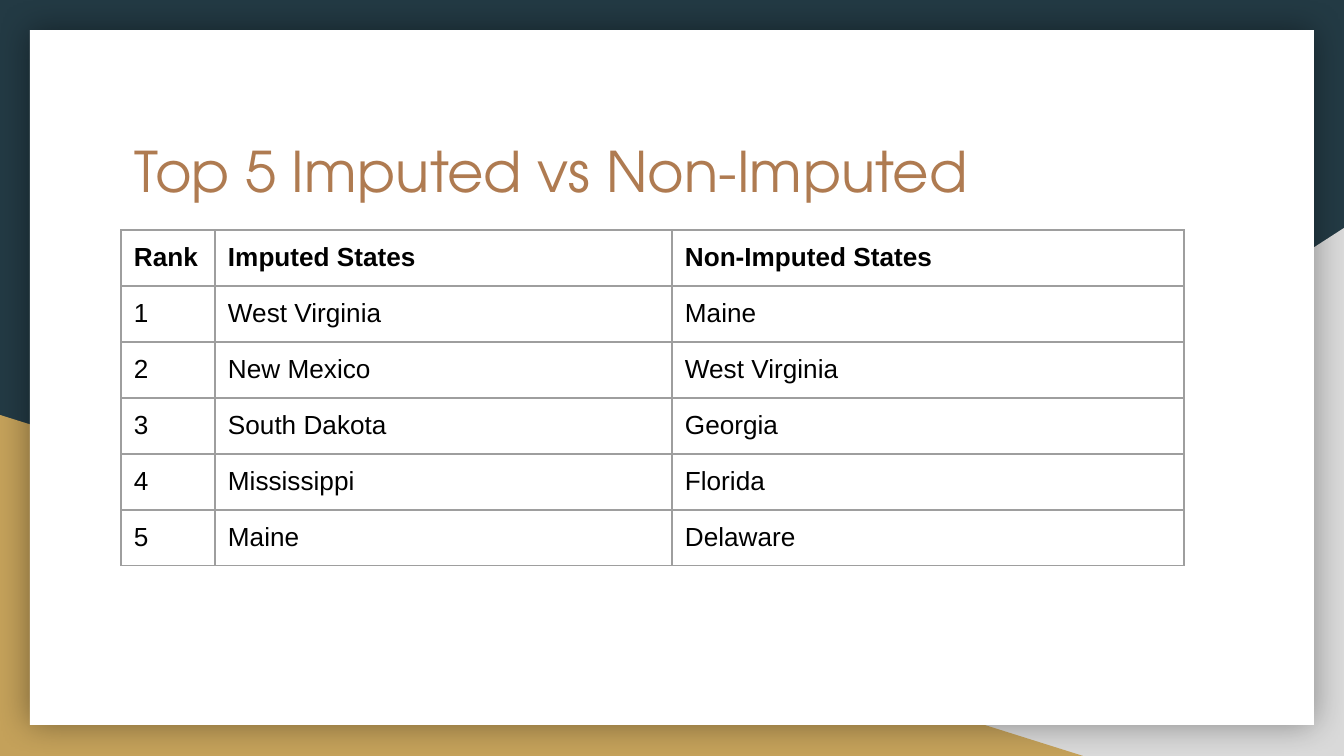
from lxml import etree
from pptx import Presentation
from pptx import util as u
from pptx.dml.color import RGBColor
from pptx.enum import shapes, text
from pptx.oxml import parse_xml
from pptx.oxml.ns import nsdecls, qn

SCALE = 914400 / 134.4
HUES = {"back": "233A44", "grey": "D9D9D9", "gold": "C4A15A", "card": "FFFFFF",
        "title": "AF7B51", "text": "000000", "rule": "9E9E9E"}


def px(n):
    """Turn pixels into EMU."""
    return u.Emu(round(n * SCALE))


def style(frame, words, face):
    """Write words into a text frame with even insets and the given font values."""
    for side in ("left", "top", "right", "bottom"):
        setattr(frame, f"margin_{side}", px(13))
    para = frame.paragraphs[0]
    para.alignment = text.PP_ALIGN.LEFT
    run = para.add_run()
    run.text = words
    for key, val in face.items():
        if key == "hue":
            run.font.color.rgb = RGBColor.from_string(HUES[val])
        else:
            setattr(run.font, key, val)


deck = Presentation()
deck.slide_width, deck.slide_height = px(1344), px(756)
slide = deck.slides.add_slide(deck.slide_layouts[5])
back = slide.background.fill
back.solid()
back.fore_color.rgb = RGBColor.from_string(HUES["back"])

# Corner triangles and the white card
kinds = shapes.MSO_SHAPE
for kind, hue, box in (
    (kinds.RIGHT_TRIANGLE, "grey", (527, 228, 817, 528)),
    (kinds.RIGHT_TRIANGLE, "gold", (0, 415, 1083, 341)),
    (kinds.RECTANGLE, "card", (30, 30, 1284, 695)),
):
    shape = slide.shapes.add_shape(kind, *map(px, box))
    shape.shadow.inherit = False
    shape.fill.solid()
    shape.fill.fore_color.rgb = RGBColor.from_string(HUES[hue])
    shape.line.fill.background()
    if hue == "grey":
        shape._element.spPr.find(qn("a:xfrm")).set("flipH", "1")
    if hue == "card":
        glow = shape._element.spPr.find(qn("a:effectLst"))
        glow.append(parse_xml(
            f'<a:outerShdw {nsdecls("a")} blurRad="{u.Pt(18)}" dist="0" dir="0" '
            'algn="ctr" rotWithShape="0"><a:srgbClr val="000000">'
            '<a:alpha val="40000"/></a:srgbClr></a:outerShdw>'))

# Title, brought in front of the card
title = slide.shapes.title
slide.shapes._spTree.append(title._element)
title.left, title.top, title.width, title.height = map(px, (121, 124, 1103, 140))
title.text_frame.vertical_anchor = text.MSO_ANCHOR.TOP
title.text_frame.auto_size = text.MSO_AUTO_SIZE.NONE
style(title.text_frame, "Top 5 Imputed vs Non-Imputed",
      {"name": "TeX Gyre Adventor", "size": u.Pt(30), "hue": "title"})

# Ranking table
rows = [
    ("Rank", "Imputed States", "Non-Imputed States"),
    ("1", "West Virginia", "Maine"),
    ("2", "New Mexico", "West Virginia"),
    ("3", "South Dakota", "Georgia"),
    ("4", "Mississippi", "Florida"),
    ("5", "Maine", "Delaware"),
]
wide = (94, 457, 512)
high = 56
table = slide.shapes.add_table(len(rows), len(wide), px(121), px(230),
                               px(sum(wide)), px(high * len(rows))).table
table.horz_banding = False
for col, width in zip(table.columns, wide):
    col.width = px(width)
for r, row in enumerate(rows):
    table.rows[r].height = px(high)
    for c, words in enumerate(row):
        cell = table.cell(r, c)
        style(cell.text_frame, words,
              {"name": "Arial", "size": u.Pt(14), "bold": r == 0, "hue": "text"})
        for side in ("left", "top", "right", "bottom"):
            setattr(cell, f"margin_{side}", px(13))
        cell.fill.background()
        props = cell._tc.get_or_add_tcPr()
        for i, side in enumerate("LRTB"):
            edge = etree.Element(qn(f"a:ln{side}"), w=str(u.Pt(0.75)))
            fill = etree.SubElement(edge, qn("a:solidFill"))
            etree.SubElement(fill, qn("a:srgbClr"), val=HUES["rule"])
            props.insert(i, edge)

deck.save("out.pptx")
